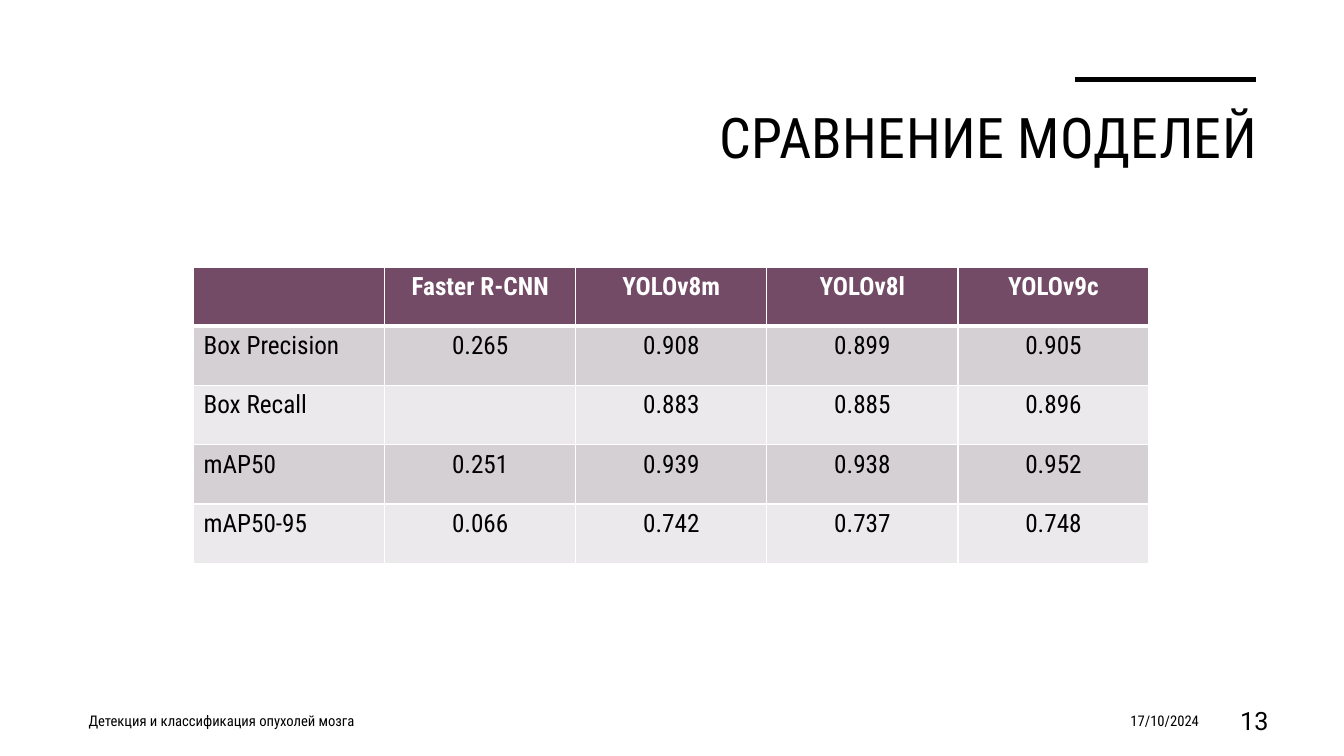
import pptx
import pptx.dml.color
import pptx.enum.shapes
import pptx.enum.text
import pptx.oxml
import pptx.oxml.ns
import pptx.util
from lxml import etree

WIDTH, HEIGHT = 13.33, 7.5
CONDENSED = "Roboto Condensed"
BLACK, WHITE, PLUM = "000000", "FFFFFF", "734B67"
BANDS = ("D5D0D3", "EBE9EB")
LEFT = pptx.enum.text.PP_ALIGN.LEFT
CENTER = pptx.enum.text.PP_ALIGN.CENTER
RIGHT = pptx.enum.text.PP_ALIGN.RIGHT
TOP = pptx.enum.text.MSO_ANCHOR.TOP
MIDDLE = pptx.enum.text.MSO_ANCHOR.MIDDLE

METRICS = [
    ("", "Faster R-CNN", "YOLOv8m", "YOLOv8l", "YOLOv9c"),
    ("Box Precision", "0.265", "0.908", "0.899", "0.905"),
    ("Box Recall", "", "0.883", "0.885", "0.896"),
    ("mAP50", "0.251", "0.939", "0.938", "0.952"),
    ("mAP50-95", "0.066", "0.742", "0.737", "0.748"),
]


def rgb(color):
    return pptx.dml.color.RGBColor.from_string(color)


def place(x, y, w, h):
    """Turn percentages of the slide's width and height into lengths."""
    return [pptx.util.Inches(share * side / 100)
            for share, side in ((x, WIDTH), (y, HEIGHT), (w, WIDTH), (h, HEIGHT))]


def write(tf, text, size, align=LEFT, color=BLACK, font=CONDENSED, bold=False):
    tf.text = text
    p = tf.paragraphs[0]
    p.alignment = align
    for r in p.runs:
        r.font.name = font
        r.font.size = pptx.util.Pt(size)
        r.font.bold = bold
        r.font.color.rgb = rgb(color)


def add_text(s, box, text, size, align=LEFT, anchor=MIDDLE, font=CONDENSED):
    tf = s.shapes.add_textbox(*place(*box)).text_frame
    tf.word_wrap = True
    tf.vertical_anchor = anchor
    write(tf, text, size, align, font=font)
    return tf


def add_rule(s, x, y, w, weight):
    left, top, width, _ = place(x, y, w, 0)
    line = s.shapes.add_connector(
        pptx.enum.shapes.MSO_CONNECTOR.STRAIGHT, left, top, left + width, top)
    line.line.color.rgb = rgb(BLACK)
    line.line.width = pptx.util.Pt(weight)
    etree.SubElement(line._element.spPr, pptx.oxml.ns.qn("a:effectLst"))


def add_borders(cell, top, bottom):
    """Draw white cell borders; must run before the cell is filled."""
    tc_pr = cell._tc.get_or_add_tcPr()
    for side, weight in (("L", 1), ("R", 1), ("T", top), ("B", bottom)):
        ln = etree.SubElement(tc_pr, pptx.oxml.ns.qn("a:ln" + side),
                              w=str(pptx.util.Pt(weight)))
        fill = etree.SubElement(ln, pptx.oxml.ns.qn("a:solidFill"))
        etree.SubElement(fill, pptx.oxml.ns.qn("a:srgbClr"), val=WHITE)


def add_metrics_table(s, box, rows):
    left, top, width, height = place(*box)
    table = s.shapes.add_table(len(rows), len(rows[0]),
                               left, top, width, height).table
    for i, row in enumerate(rows):
        header = i == 0
        for j, text in enumerate(row):
            cell = table.cell(i, j)
            add_borders(cell, 3 if i == 1 else 1, 3 if header else 1)
            cell.fill.solid()
            cell.fill.fore_color.rgb = rgb(PLUM if header else BANDS[(i - 1) % 2])
            write(cell.text_frame, text, 18, CENTER if j else LEFT,
                  WHITE if header else BLACK, bold=header)


def main():
    prs = pptx.Presentation()
    prs.slide_width = pptx.util.Inches(WIDTH)
    prs.slide_height = pptx.util.Inches(HEIGHT)
    s = prs.slides.add_slide(prs.slide_layouts[6])

    add_rule(s, 79.97, 10.53, 13.5, 3.5)
    title = add_text(s, (5.7, 12.93, 88.6, 15.33), "СРАВНЕНИЕ МОДЕЛЕЙ", 40, RIGHT, TOP)
    title.paragraphs[0].runs[0].font._element.set("spc", "30")
    add_metrics_table(s, (14.4, 35.33, 71.1, 39.2), METRICS)

    footer_y, footer_h = 92.67, 5.33
    add_text(s, (5.85, footer_y, 37.21, footer_h),
             "Детекция и классификация опухолей мозга", 10.5)
    add_text(s, (68.64, footer_y, 21.31, footer_h), "17/10/2024", 10.5, RIGHT)
    add_text(s, (89.57, footer_y, 5.55, footer_h), "13", 18, RIGHT, font="Roboto")

    prs.save("out.pptx")


if __name__ == "__main__":
    main()
